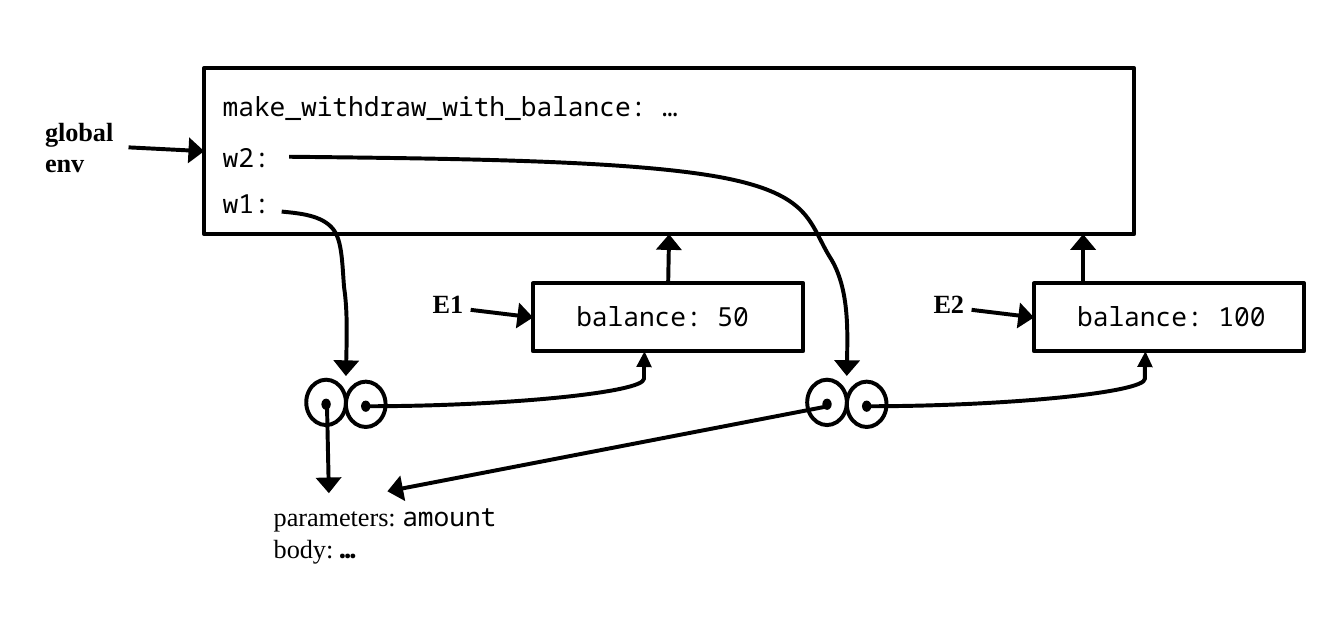
from lxml import etree
from pptx import Presentation
from pptx.dml.color import RGBColor
from pptx.enum.shapes import MSO_CONNECTOR, MSO_SHAPE
from pptx.enum.text import PP_ALIGN
from pptx.oxml.ns import qn
from pptx.util import Inches, Pt

RECTANGLE = MSO_SHAPE.RECTANGLE
OVAL = MSO_SHAPE.OVAL
STRAIGHT = MSO_CONNECTOR.STRAIGHT
CURVE = MSO_CONNECTOR.CURVE
LEFT = PP_ALIGN.LEFT
TOP_SITE, LEFT_SITE = 0, 1
INK = "000000"
MONO = "Noto Sans Mono"
SERIF = "Times New Roman"


def colour(value):
    """Turn a hex string into a colour."""
    return RGBColor.from_string(value)


def add_text(slide, left, top, width, height, lines, font=MONO, size=10, bold=False, wrap=True):
    """Write lines, each a string or a list of (text, font, bold) runs."""
    frame = slide.shapes.add_textbox(*map(Inches, (left, top, width, height))).text_frame
    frame.word_wrap = wrap
    for number, line in enumerate(lines):
        paragraph = frame.add_paragraph() if number else frame.paragraphs[0]
        paragraph.alignment = LEFT
        runs = [(line, font, bold)] if isinstance(line, str) else line
        for words, face, heavy in runs:
            run = paragraph.add_run()
            run.text = words
            run.font.name = face
            run.font.size = Pt(size)
            run.font.bold = heavy
            run.font.color.rgb = colour(INK)


def ink_line(line):
    """Give a line the diagram's colour and weight."""
    line.color.rgb = colour(INK)
    line.width = Pt(1.5)


def add_outline(slide, kind, left, top, width, height):
    """Draw an unfilled shape."""
    outline = slide.shapes.add_shape(kind, *map(Inches, (left, top, width, height)))
    outline.shadow.inherit = False
    outline.fill.background()
    ink_line(outline.line)
    return outline


def add_dot(slide, left, top):
    """Draw a solid pointer dot."""
    dot = slide.shapes.add_shape(OVAL, *map(Inches, (left, top, 0.05, 0.06)))
    dot.shadow.inherit = False
    dot.fill.solid()
    dot.fill.fore_color.rgb = colour(INK)
    dot.line.fill.background()


def add_arrowhead(arrow, end="tailEnd", width="lg"):
    """Put a triangle on one end of an arrow."""
    etree.SubElement(arrow.get_or_add_ln(), qn(f"a:{end}"), type="triangle", w=width, len="med")


def add_link(slide, kind, start, finish):
    """Draw a connector without a shadow."""
    link = slide.shapes.add_connector(kind, *map(Inches, (*start, *finish)))
    ink_line(link.line)
    etree.SubElement(link._element.spPr, qn("a:effectLst"))
    return link


def add_arrow(slide, start, finish, begin=None, end=None):
    """Draw a straight arrow, joined to (shape, site) pairs where given."""
    arrow = add_link(slide, STRAIGHT, start, finish)
    add_arrowhead(arrow)
    if begin:
        arrow.begin_connect(*begin)
    if end:
        arrow.end_connect(*end)


def add_bent_arrow(slide, tip, origin):
    """Draw an arrow that runs sideways from its origin and turns up to its tip."""
    arrow = add_link(slide, CURVE, tip, origin)
    add_arrowhead(arrow, "headEnd", "med")
    geometry = arrow._element.spPr.find(qn("a:prstGeom"))
    adjustments = geometry.find(qn("a:avLst"))
    etree.SubElement(adjustments, qn("a:gd"), name="adj1", fmla="val 200")


def add_curve(slide, left, top, points):
    """Draw a Bézier arrow: a start, then two controls and an end per section."""
    start, *rest = [(Inches(left + x), Inches(top + y)) for x, y in points]
    builder = slide.shapes.build_freeform(*start)
    builder.add_line_segments(rest, close=False)
    curve = builder.convert_to_shape()
    curve.shadow.inherit = False
    curve.fill.background()
    ink_line(curve.line)
    add_arrowhead(curve)
    outline = next(curve._element.iter(qn("a:path")))
    segments = outline.findall(qn("a:lnTo"))
    for first in range(0, len(segments), 3):
        section = etree.SubElement(outline, qn("a:cubicBezTo"))
        for segment in segments[first:first + 3]:
            section.append(segment[0])
            outline.remove(segment)


def draw_global_environment(slide, left, top):
    """Draw the global frame, its label and the pointers from w1 and w2."""
    frame = add_outline(slide, RECTANGLE, left, top, 4.92, 0.88)
    bindings = [("make_withdraw_with_balance: …", 0.07), ("w2:", 0.34), ("w1:", 0.58)]
    for binding, offset in bindings:
        add_text(slide, left, top + offset, 2.87, 0.27, [binding])
    add_text(slide, left - 0.94, top + 0.2, 0.6, 0.44, ["global", "env"], font=SERIF, bold=True)
    add_arrow(slide, (left - 0.4, top + 0.42), (left, top + 0.44), end=(frame, LEFT_SITE))
    w1_pointer = [(0.41, 0.76), (0.51, 0.77), (0.62, 0.78), (0.68, 0.85), (0.73, 0.91),
                  (0.73, 1.03), (0.74, 1.16), (0.76, 1.29), (0.75, 1.63), (0.75, 1.63)]
    w2_pointer = [(0.45, 0.47), (1.35, 0.48), (2.26, 0.49), (2.74, 0.58), (3.21, 0.67),
                  (3.2, 0.82), (3.31, 1), (3.42, 1.17), (3.4, 1.63), (3.4, 1.63)]
    for pointer in (w1_pointer, w2_pointer):
        add_curve(slide, left, top, pointer)


def draw_account(slide, left, top, name, balance, body, parent_x=None):
    """Draw a procedure's pair of circles and the environment it points to."""
    frame = add_outline(slide, RECTANGLE, left + 1.2, top, 1.43, 0.36)
    add_text(slide, left + 1.33, top + 0.04, 1.29, 0.27, [f"balance: {balance}"])
    add_text(slide, left + 0.57, top - 0.03, 0.55, 0.27, [name], font=SERIF, bold=True)
    add_arrow(slide, (left + 0.87, top + 0.14), (left + 1.2, top + 0.18), end=(frame, LEFT_SITE))
    parent_from = parent_x or left + 1.92
    add_arrow(slide, (parent_from, top), (parent_from, top - 0.26),
              begin=None if parent_x else (frame, TOP_SITE))
    for x, y in ((0, 0.51), (0.21, 0.52)):
        add_outline(slide, OVAL, left + x, top + y, 0.21, 0.24)
        add_dot(slide, left + x + 0.08, top + y + 0.1)
    add_bent_arrow(slide, (left + 1.79, top + 0.36), (left + 0.32, top + 0.65))
    add_arrow(slide, (left + 0.11, top + 0.65), body)


def draw_procedure_text(slide, left, top):
    """Write the parameters and body shared by both procedures."""
    add_text(slide, left, top, 1.4, 0.44, [
        [("parameters: ", SERIF, False), ("amount", MONO, False)],
        [("body: ", SERIF, False), ("…", MONO, True)],
    ], wrap=False)


def main():
    """Build the environment diagram."""
    deck = Presentation()
    deck.slide_width, deck.slide_height = Inches(7.11), Inches(3.35)
    slide = deck.slides.add_slide(deck.slide_layouts[6])
    draw_global_environment(slide, 1.08, 0.36)
    draw_account(slide, 1.62, 1.5, "E1", 50, (1.74, 2.61))
    draw_account(slide, 4.27, 1.5, "E2", 100, (2.05, 2.6), parent_x=5.73)
    draw_procedure_text(slide, 1.35, 2.6)
    deck.save("out.pptx")


if __name__ == "__main__":
    main()
